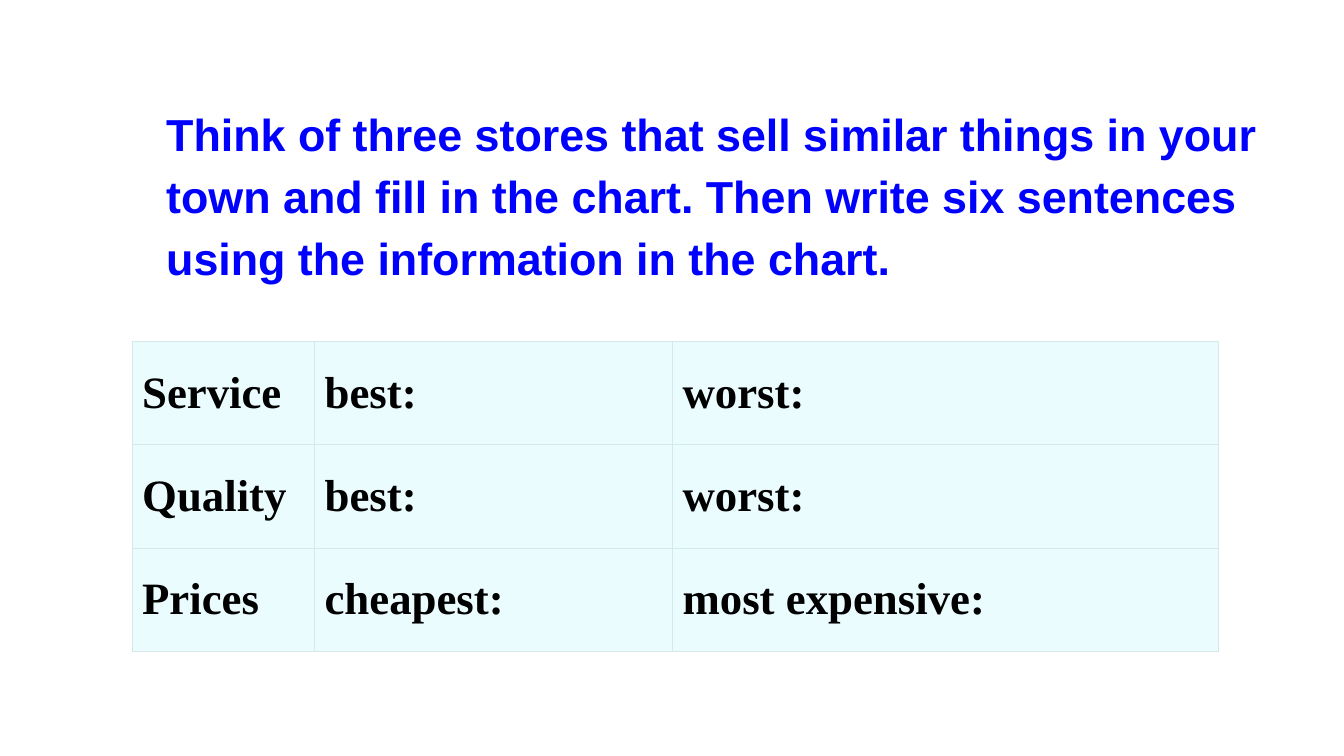
from dataclasses import dataclass

from lxml.etree import SubElement
from pptx import Presentation
from pptx.dml.color import RGBColor as Color
from pptx.enum.text import MSO_ANCHOR as Anchor
from pptx.oxml.ns import qn
from pptx.util import Inches, Pt


@dataclass(frozen=True)
class Theme:
    prompt_color: str = "0000FF"
    chart_color: str = "000000"
    cell_fill: str = "EBFCFF"
    border_color: str = "D5E8EA"
    border_width: float = 0.75
    prompt_font: str = "Arial"
    chart_font: str = "Times New Roman"
    text_size: int = 32


THEME = Theme()

PROMPT = (
    "Think of three stores that sell similar things in your town and fill in the chart. "
    "Then write six sentences using the information in the chart."
)
CHART_ROWS = [
    ("Service", "best:", "worst:"),
    ("Quality", "best:", "worst:"),
    ("Prices", "cheapest:", "most expensive:"),
]
COLUMN_WIDTHS = (1.81, 3.55, 5.42)
CHART_HEIGHT = 3.07


def write_text(frame, text, *, font, color, size=THEME.text_size, bold=True, spacing=None):
    frame.word_wrap = True
    frame.vertical_anchor = Anchor.MIDDLE
    para = frame.paragraphs[0]
    if spacing:
        para.line_spacing = spacing
    span = para.add_run()
    span.text = text
    span.font.name = font
    span.font.size = Pt(size)
    span.font.bold = bold
    span.font.color.rgb = Color.from_string(color)


def style_cell(cell):
    # Borders come before the fill in the cell properties
    properties = cell._tc.get_or_add_tcPr()
    for side in ("a:lnL", "a:lnR", "a:lnT", "a:lnB"):
        line = SubElement(properties, qn(side), w=str(Pt(THEME.border_width)))
        solid = SubElement(line, qn("a:solidFill"))
        SubElement(solid, qn("a:srgbClr"), val=THEME.border_color)
    cell.fill.solid()
    cell.fill.fore_color.rgb = Color.from_string(THEME.cell_fill)


def add_prompt(page):
    box = page.shapes.add_textbox(Inches(1.55), Inches(0.76), Inches(11.11), Inches(2.28))
    write_text(box.text_frame, PROMPT, font=THEME.prompt_font,
               color=THEME.prompt_color, spacing=1.15)


def add_store_chart(page):
    table = page.shapes.add_table(
        len(CHART_ROWS), len(COLUMN_WIDTHS), Inches(1.31), Inches(3.39),
        Inches(sum(COLUMN_WIDTHS)), Inches(CHART_HEIGHT)).table
    table.first_row = False
    table.horz_banding = False
    for column, width in zip(table.columns, COLUMN_WIDTHS):
        column.width = Inches(width)
    for row, labels in zip(table.rows, CHART_ROWS):
        row.height = Inches(CHART_HEIGHT / len(CHART_ROWS))
        for cell, label in zip(row.cells, labels):
            style_cell(cell)
            cell.vertical_anchor = Anchor.MIDDLE
            write_text(cell.text_frame, label, font=THEME.chart_font, color=THEME.chart_color)


def main():
    deck = Presentation()
    deck.slide_width, deck.slide_height = Inches(13.33), Inches(7.5)
    page = deck.slides.add_slide(deck.slide_layouts[6])

    # Store comparison chart
    add_store_chart(page)

    # Writing prompt
    add_prompt(page)

    deck.save("out.pptx")


if __name__ == "__main__":
    main()
